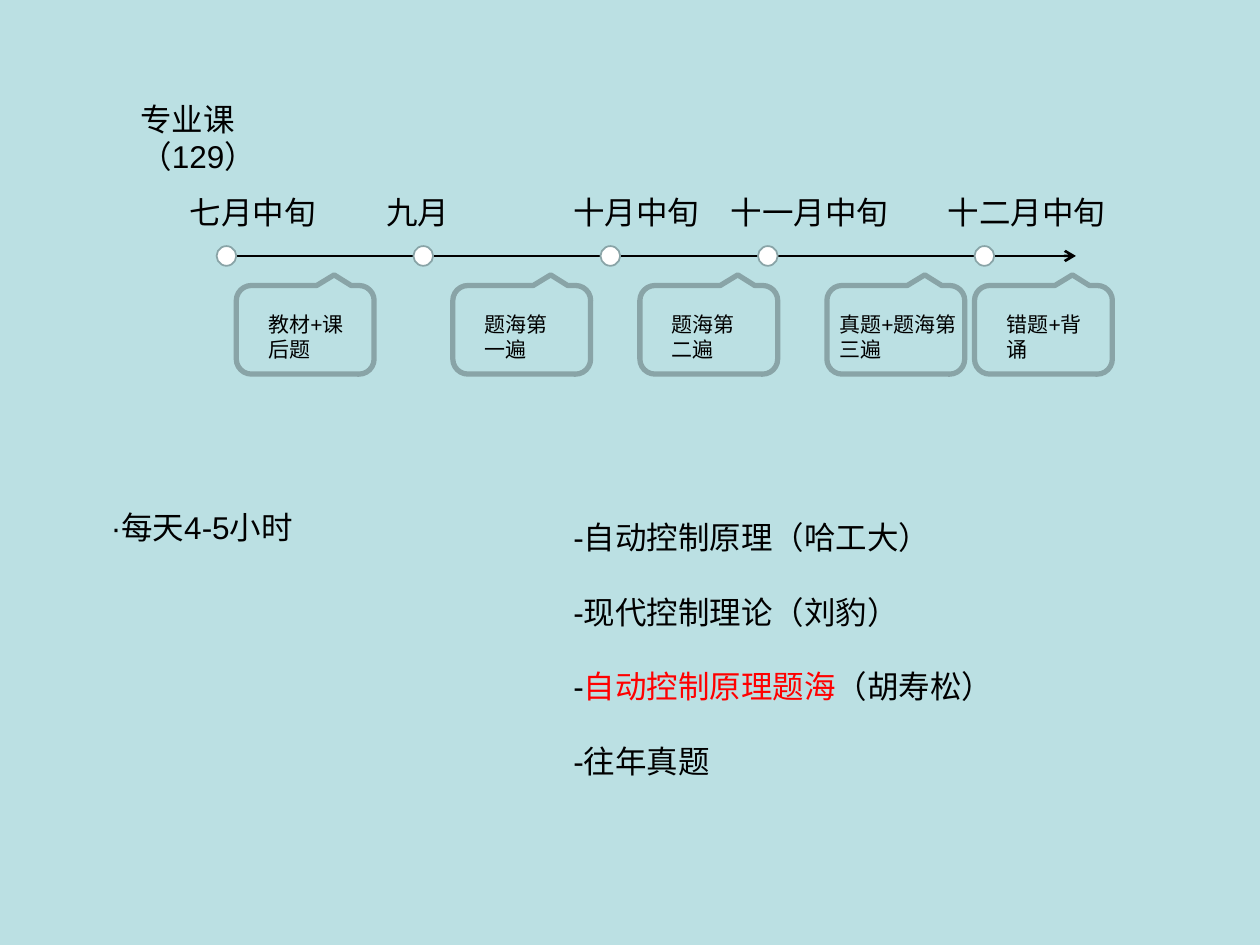
"""Build a study timeline slide with stage notes and a reading list."""
from dataclasses import dataclass

from lxml.etree import SubElement
from pptx import Presentation
from pptx.dml.color import RGBColor
from pptx.enum.shapes import MSO_CONNECTOR, MSO_SHAPE
from pptx.oxml.ns import qn
from pptx.shapes.autoshape import Shape
from pptx.slide import Slide
from pptx.util import Inches, Pt

COLORS = {
    "background": "BBE0E3",
    "outline": "89A4A7",
    "dot": "FFFFFF",
    "text": "000000",
    "accent": "FF0000",
}
UNIT = Inches(10) / 128
DOT_ROW, LABEL_ROW, CALLOUT_ROW, NOTE_ROW = 25, 19, 29, 31
DOT_SIZE = 2
Paragraph = list[tuple[str, str]]


@dataclass
class Stage:
    month: str
    dot_col: float
    label_width: float
    note: str
    callout_col: float
    note_inset: float = 2
    note_width: float = 11


STAGES = [
    Stage("七月中旬", 22, 19, "教材+课后题", 24),
    Stage("九月", 42, 9, "题海第一遍", 46),
    Stage("十月中旬", 61, 17, "题海第二遍", 65),
    Stage("十一月中旬", 77, 21, "真题+题海第三遍", 84, 0, 15),
    Stage("十二月中旬", 99, 20, "错题+背诵", 99),
]
BOOKS: list[Paragraph] = [
    [("-自动控制原理（哈工大）", "text")],
    [("-现代控制理论（刘豹）", "text")],
    [("-", "text"), ("自动控制原理题海", "accent"), ("（胡寿松）", "text")],
    [("-往年真题", "text")],
]


def grid(n: float) -> int:
    """Return the length of n grid units."""
    return round(n * UNIT)


def rgb(name: str) -> RGBColor:
    """Return a named colour."""
    return RGBColor.from_string(COLORS[name])


def add_text(s: Slide, col: float, row: float, width: float, height: float,
             paragraphs: list[Paragraph], size: float = 18,
             gap: float = 0, wrap: bool = True) -> None:
    """Add a text box run by run."""
    box = s.shapes.add_textbox(grid(col), grid(row), grid(width), grid(height))
    tf = box.text_frame
    tf.word_wrap = wrap
    for i, runs in enumerate(paragraphs):
        p = tf.add_paragraph() if i else tf.paragraphs[0]
        if i:
            p.space_before = Pt(gap)
        for text, color in runs:
            r = p.add_run()
            r.text = text
            r.font.name = "Arial"
            r.font.size = Pt(size)
            r.font.color.rgb = rgb(color)


def add_outlined(s: Slide, kind: MSO_SHAPE, col: float, row: float, width: float,
                 height: float, fill: str, line: float) -> Shape:
    """Add a filled preset shape with a grey outline."""
    sp = s.shapes.add_shape(kind, grid(col), grid(row), grid(width), grid(height))
    sp.shadow.inherit = False
    sp.fill.solid()
    sp.fill.fore_color.rgb = rgb(fill)
    sp.line.color.rgb = rgb("outline")
    sp.line.width = Pt(line)
    return sp


def add_axis(s: Slide, start: float, end: float, row: float) -> None:
    """Add the timeline arrow."""
    axis = s.shapes.add_connector(
        MSO_CONNECTOR.STRAIGHT, grid(start), grid(row), grid(end), grid(row))
    axis.line.color.rgb = rgb("text")
    axis.line.width = Pt(1.5)
    SubElement(axis.line._get_or_add_ln(), qn("a:tailEnd"), type="arrow")
    SubElement(axis._element.spPr, qn("a:effectLst"))


def add_stage(s: Slide, stage: Stage) -> None:
    """Add the dot, month label and callout of a stage."""
    add_outlined(s, MSO_SHAPE.OVAL, stage.dot_col, DOT_ROW, DOT_SIZE, DOT_SIZE, "dot", 1)
    add_text(s, stage.dot_col - 4, LABEL_ROW, stage.label_width, 5,
             [[(stage.month, "text")]])
    sp = add_outlined(s, MSO_SHAPE.ROUNDED_RECTANGULAR_CALLOUT,
                      stage.callout_col, CALLOUT_ROW, 14, 9, "background", 3)
    sp.rotation = 180
    for i, value in enumerate((-0.21, 0.62, 0.17)):
        sp.adjustments[i] = value
    add_text(s, stage.callout_col + stage.note_inset, NOTE_ROW, stage.note_width, 6.5,
             [[(stage.note, "text")]], size=12)


def main() -> None:
    """Build and save the slide."""
    prs = Presentation()
    prs.slide_width, prs.slide_height = Inches(10), Inches(7.5)
    s = prs.slides.add_slide(prs.slide_layouts[6])
    s.background.fill.solid()
    s.background.fill.fore_color.rgb = rgb("background")

    add_text(s, 13, 9.5, 17.7, 9, [[("专业课（129）", "text")]])
    add_axis(s, STAGES[0].dot_col + DOT_SIZE / 2, 109.3, DOT_ROW + DOT_SIZE / 2)
    for stage in STAGES:
        add_stage(s, stage)
    add_text(s, 10, 51, 23.3, 5, [[("·每天4-5小时", "text")]], wrap=False)
    add_text(s, 57, 52, 59, 28, BOOKS, gap=21)
    prs.save("out.pptx")


if __name__ == "__main__":
    main()
